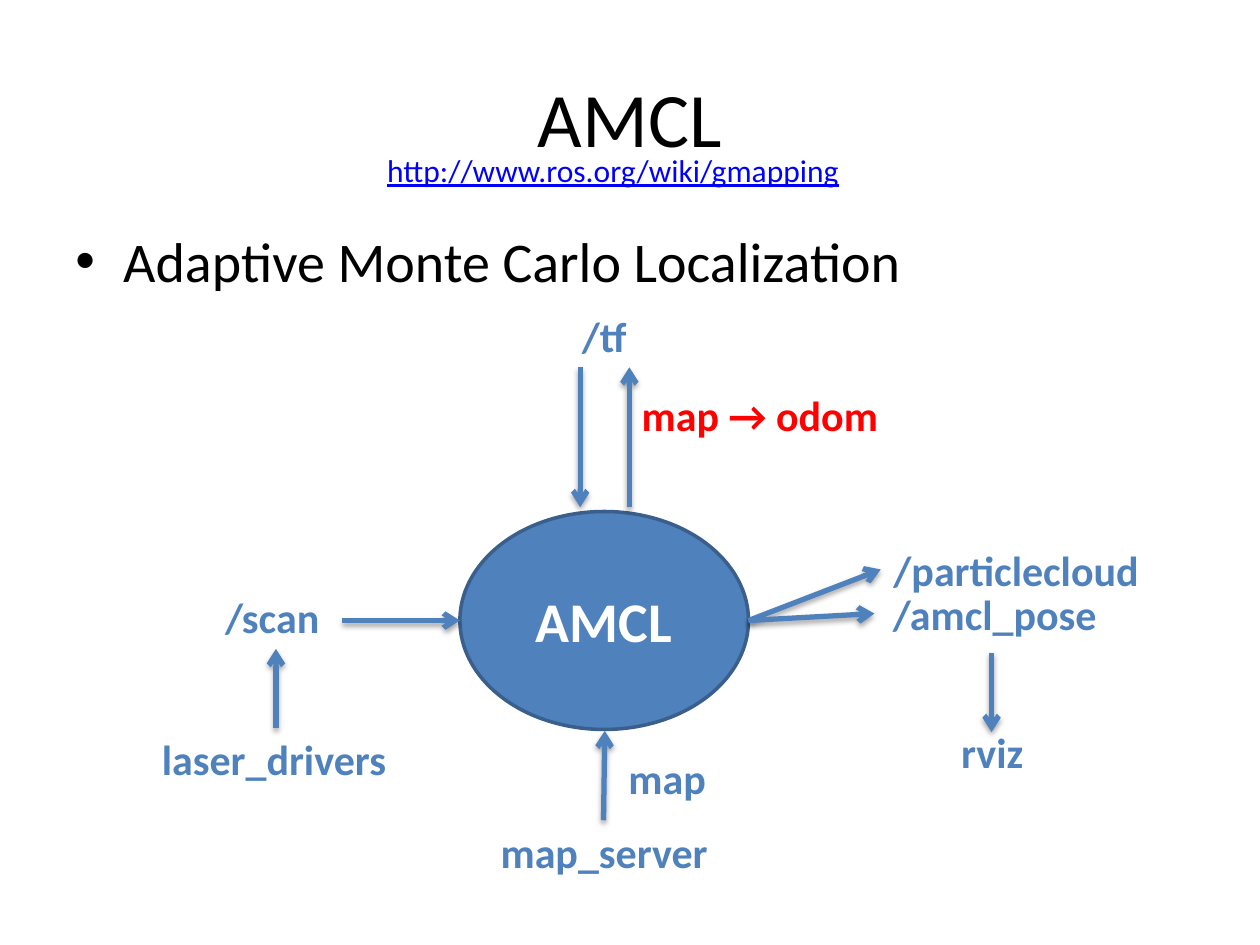
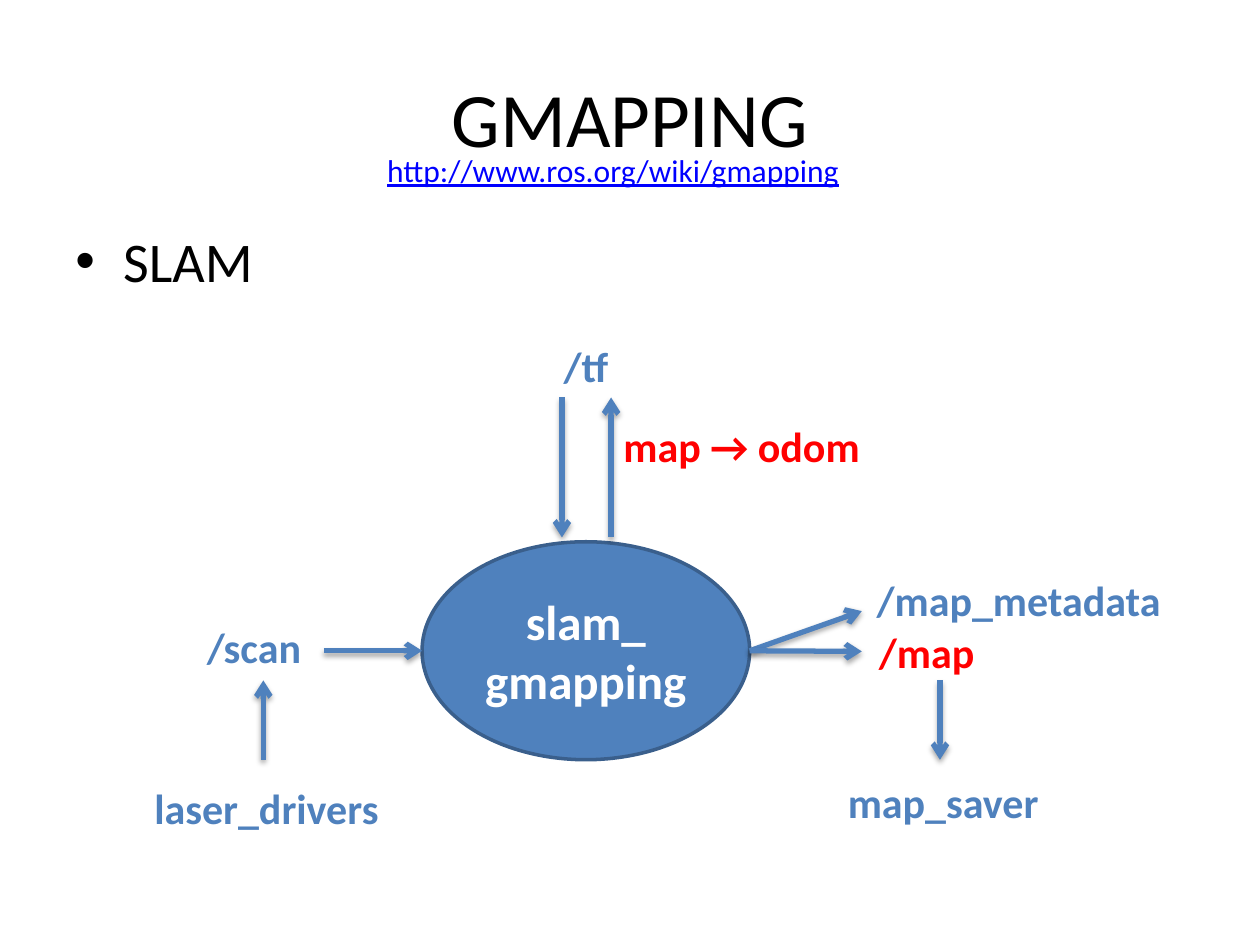
"""Build two slides with node diagrams for AMCL and GMAPPING."""
from lxml.etree import SubElement
from pptx import Presentation
from pptx.dml.color import RGBColor
from pptx.enum.shapes import MSO_CONNECTOR, MSO_SHAPE
from pptx.enum.text import MSO_ANCHOR, PP_ALIGN
from pptx.oxml.ns import qn
from pptx.util import Inches, Pt

BLACK = RGBColor(0x00, 0x00, 0x00)
WHITE = RGBColor(0xFF, 0xFF, 0xFF)
BLUE = RGBColor(0x4F, 0x81, 0xBD)
DARK_BLUE = RGBColor(0x3A, 0x5F, 0x8C)
LINK_BLUE = RGBColor(0x00, 0x00, 0xFF)
RED = RGBColor(0xFF, 0x00, 0x00)
FONT = "Calibri"
LABEL_HEIGHT = 0.5
NODE_HEIGHT = 1.73
WIKI_ADDRESS = "http://www.ros.org/wiki/gmapping"

# Labels: text, left, top, width, colour. Arrows: start, end.
# Outputs: points reached from the right side of the node.
SLIDES = [
    {
        "title": "AMCL",
        "topic": "Adaptive Monte Carlo Localization",
        "node": {"lines": ["AMCL"], "size": 32, "left": 3.65, "top": 4.06, "width": 2.29},
        "outputs": [(6.99, 4.52), (6.94, 4.87)],
        "labels": [
            ("/particlecloud", 6.8, 4.27, 2.53, BLUE),
            ("/amcl_pose", 6.94, 4.62, 1.91, BLUE),
            ("map", 4.84, 5.92, 0.91, BLUE),
            ("laser_drivers", 0.5, 5.77, 3.35, BLUE),
            ("rviz", 6.93, 5.72, 1.89, BLUE),
            ("map_server", 3.85, 6.51, 1.89, BLUE),
        ],
        "arrows": [
            ((4.79, 6.51), (4.8, 5.8)),
            ((2.19, 5.78), (2.19, 5.15)),
            ((7.87, 5.18), (7.87, 5.81)),
        ],
    },
    {
        "title": "GMAPPING",
        "topic": "SLAM",
        "node": {"lines": ["slam_", "gmapping"], "size": 28, "left": 3.35, "top": 4.3, "width": 2.6},
        "outputs": [(6.84, 4.85), (6.84, 5.17)],
        "labels": [
            ("/map_metadata", 6.82, 4.51, 2.53, BLUE),
            ("/map", 6.79, 4.92, 1.13, RED),
            ("laser_drivers", 0.44, 6.16, 3.35, BLUE),
            ("map_saver", 6.54, 6.11, 1.89, BLUE),
        ],
        "arrows": [
            ((7.46, 5.4), (7.46, 6.03)),
            ((2.09, 6.03), (2.09, 5.4)),
        ],
    },
]

# Parts both diagrams share, measured from the centre of the node.
SHARED_LABELS = [
    ("/scan", -3.58, -0.28, 1.89, BLUE, PP_ALIGN.CENTER),
    ("/tf", -0.41, -2.51, 0.82, BLUE, PP_ALIGN.CENTER),
    ("map → odom", 0.2, -1.88, 2.2, RED, PP_ALIGN.LEFT),
]
SHARED_ARROWS = [
    ((-0.19, -2.01), (-0.19, -0.9)),
    ((0.2, -0.9), (0.2, -2.01)),
]
SCAN_ARROW_START = -2.08


def add_run(paragraph, text, size, color, bold=False):
    run = paragraph.add_run()
    run.text = text
    run.font.name = FONT
    run.font.size = Pt(size)
    run.font.bold = bold
    run.font.color.rgb = color
    return run


def add_text(slide, box, text, size, color, bold=False,
             align=PP_ALIGN.CENTER, anchor=MSO_ANCHOR.TOP, wrap=True):
    frame = slide.shapes.add_textbox(*map(Inches, box)).text_frame
    frame.word_wrap = wrap
    frame.vertical_anchor = anchor
    paragraph = frame.paragraphs[0]
    paragraph.alignment = align
    return paragraph, add_run(paragraph, text, size, color, bold)


def add_label(slide, text, left, top, width, color, align=PP_ALIGN.CENTER):
    add_text(slide, (left, top, width, LABEL_HEIGHT), text, 24, color, True, align)


def add_arrow(slide, start, end):
    arrow = slide.shapes.add_connector(MSO_CONNECTOR.STRAIGHT, *map(Inches, (*start, *end)))
    arrow.line.color.rgb = BLUE
    arrow.line.width = Pt(3)
    SubElement(arrow.line._get_or_add_ln(), qn("a:tailEnd"), type="arrow")
    effects = SubElement(arrow._element.spPr, qn("a:effectLst"))
    shadow = SubElement(effects, qn("a:outerShdw"), blurRad=str(Pt(3.1)),
                        dist=str(Pt(1.8)), dir="5400000", rotWithShape="0")
    shade = SubElement(shadow, qn("a:srgbClr"), val=str(BLACK))
    SubElement(shade, qn("a:alpha"), val="35000")


def add_heading(slide, title, topic):
    add_text(slide, (0.5, 0.3, 9, 1.25), title, 44, BLACK, anchor=MSO_ANCHOR.MIDDLE)
    bullet, _ = add_text(slide, (0.5, 1.75, 9, 4.95), topic, 32, BLACK, align=PP_ALIGN.LEFT)
    bullet.space_before = Pt(6.4)
    properties = bullet._p.get_or_add_pPr()
    properties.set("marL", str(Inches(0.38)))
    properties.set("indent", str(Inches(-0.38)))
    SubElement(properties, qn("a:buFont"), typeface="Arial")
    SubElement(properties, qn("a:buChar"), char="•")
    _, address = add_text(slide, (2.92, 1.15, 3.89, 0.4), WIKI_ADDRESS, 18, LINK_BLUE, wrap=False)
    address.font.underline = True


def add_node(slide, lines, size, left, top, width):
    node = slide.shapes.add_shape(
        MSO_SHAPE.OVAL, *map(Inches, (left, top, width, NODE_HEIGHT)))
    node.shadow.inherit = False
    node.fill.solid()
    node.fill.fore_color.rgb = BLUE
    node.line.color.rgb = DARK_BLUE
    node.line.width = Pt(2)
    node.text_frame.vertical_anchor = MSO_ANCHOR.MIDDLE
    paragraph = node.text_frame.paragraphs[0]
    paragraph.alignment = PP_ALIGN.CENTER
    for index, line in enumerate(lines):
        if index:
            paragraph.add_line_break()
        add_run(paragraph, line, size, WHITE, True)


def add_diagram(slide, content):
    node = content["node"]
    add_node(slide, **node)
    left, right = node["left"], node["left"] + node["width"]
    center_x, center_y = (left + right) / 2, node["top"] + NODE_HEIGHT / 2

    for text, dx, dy, width, color, align in SHARED_LABELS:
        add_label(slide, text, center_x + dx, center_y + dy, width, color, align)
    for label in content["labels"]:
        add_label(slide, *label)

    arrows = [[(center_x + dx, center_y + dy) for dx, dy in ends] for ends in SHARED_ARROWS]
    arrows.append(((center_x + SCAN_ARROW_START, center_y), (left, center_y)))
    arrows += [((right, center_y), output) for output in content["outputs"]]
    for start, end in arrows + content["arrows"]:
        add_arrow(slide, start, end)


def main():
    deck = Presentation()
    deck.slide_width, deck.slide_height = Inches(10), Inches(7.5)
    for content in SLIDES:
        slide = deck.slides.add_slide(deck.slide_layouts[6])
        add_heading(slide, content["title"], content["topic"])
        add_diagram(slide, content)
    deck.save("out.pptx")


if __name__ == "__main__":
    main()
